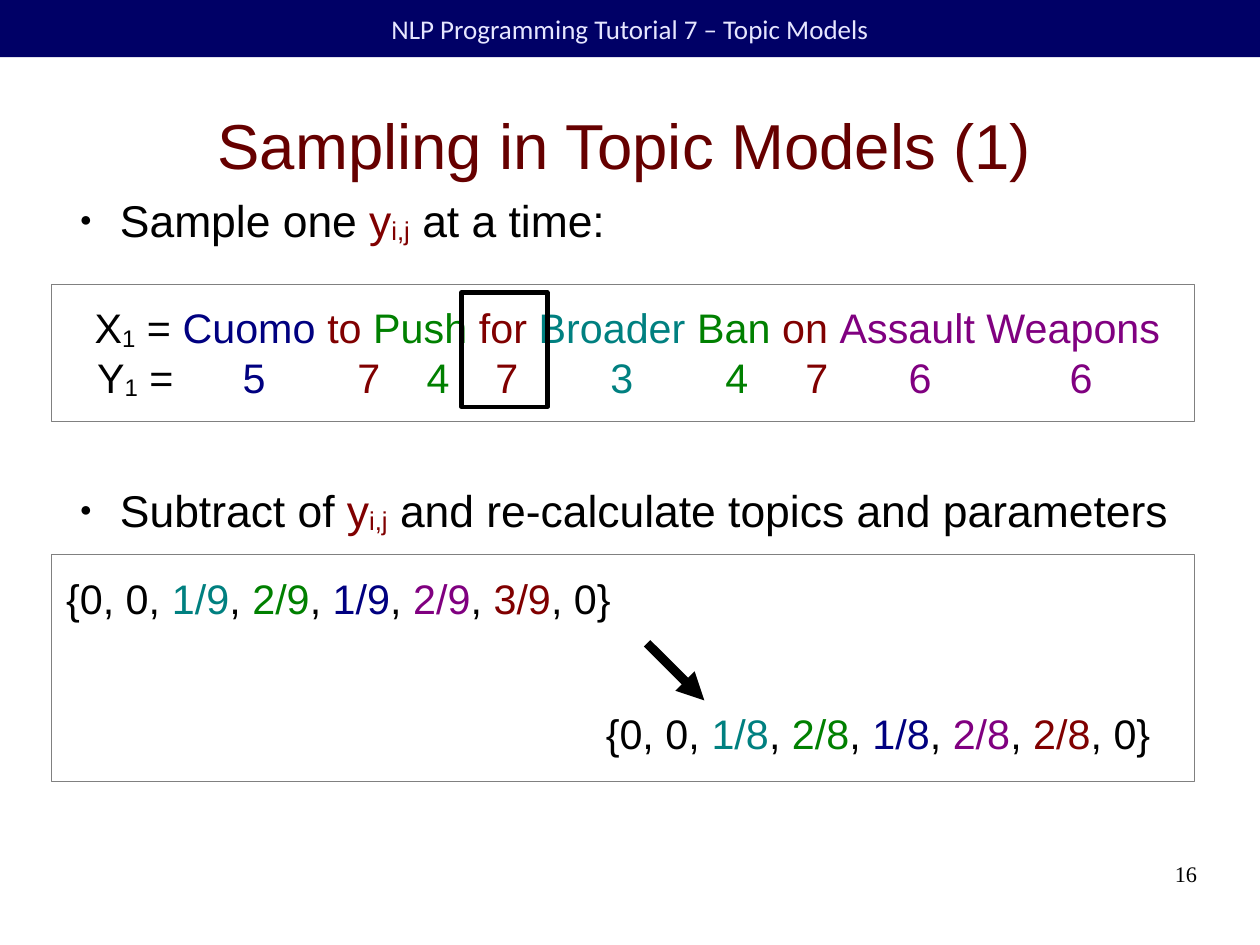
from dataclasses import dataclass

from lxml import etree
from pptx import Presentation
from pptx.dml.color import RGBColor
from pptx.enum.shapes import MSO_CONNECTOR, MSO_SHAPE
from pptx.enum.text import MSO_ANCHOR, PP_ALIGN
from pptx.oxml.ns import qn
from pptx.util import Cm, Inches, Pt

RECTANGLE, STRAIGHT = MSO_SHAPE.RECTANGLE, MSO_CONNECTOR.STRAIGHT
LEFT, CENTER, RIGHT = PP_ALIGN.LEFT, PP_ALIGN.CENTER, PP_ALIGN.RIGHT
TOP, MIDDLE = MSO_ANCHOR.TOP, MSO_ANCHOR.MIDDLE


@dataclass(frozen=True)
class Theme:
    band: str = "000066"
    band_text: str = "E6E6FF"
    title: str = "660000"
    ink: str = "000000"
    variable: str = "800000"
    panel_line: str = "808080"
    font: str = "Arial"
    band_font: str = "Calibri"
    number_font: str = "Times New Roman"
    title_size: int = 40
    body_size: int = 28
    example_size: int = 26
    band_size: int = 17
    number_size: int = 14


THEME = Theme()
TOPIC_COLORS = {3: "008080", 4: "008000", 5: "000080", 6: "800080", 7: "800000"}

# Content
HEADER = "NLP Programming Tutorial 7 – Topic Models"
TITLE = "Sampling in Topic Models (1)"
PAGE_NUMBER = "16"
BULLETS = [
    ("Sample one ", " at a time:"),
    ("Subtract of ", " and re-calculate topics and parameters"),
]
# Word, topic, centre of the topic number in percent of the slide width
WORDS = [
    ("Cuomo", 5, 20.18), ("to", 7, 29.29), ("Push", 4, 34.78),
    ("for", 7, 40.24), ("Broader", 3, 49.37), ("Ban", 4, 58.49),
    ("on", 7, 64.84), ("Assault", 6, 73.05), ("Weapons", 6, 85.82),
]
# Probabilities of topics 1 to 8, with the place of each list
DISTRIBUTIONS = [
    (["0", "0", "1/9", "2/9", "1/9", "2/9", "3/9", "0"], (4.36, 60.05, 46, 6.05)),
    (["0", "0", "1/8", "2/8", "1/8", "2/8", "2/8", "0"], (47.19, 74.37, 46, 6.05)),
]

# Places: left, top, width, height in percent of the slide
BAND_AT = (0, 0, 100, 6.05)
TITLE_AT = (4.54, 7.55, 90.02, 15.36)
BODY_AT = (5.26, 20.4, 90.02, 36.88)
WORDS_AT = (6.53, 31.44, 86.57, 7.5)
TOPICS_AT = (6.81, 36.64, 86.57, 7.5)
PANELS_AT = [(4.08, 30.11, 90.7, 14.51), (4.08, 58.65, 90.7, 24.06)]
MARK_AT = (36.63, 30.96, 6.81, 12.09)
ARROW_AT = (51.36, 68.08, 55.9, 74.12)
NUMBER_AT = (71.69, 91.05, 23.32, 6.89)
INSET = Inches(0.1)

deck = Presentation()
deck.slide_width, deck.slide_height = Cm(28), Cm(21)
page = deck.slides.add_slide(deck.slide_layouts[5])


def place(shares):
    sides = (deck.slide_width, deck.slide_height) * 2
    return [int(side * share / 100) for side, share in zip(sides, shares)]


def rgb(value):
    return RGBColor.from_string(value)


def add_span(para, text, size, color=THEME.ink, font=THEME.font, lowered=False):
    span = para.add_run()
    span.text = text
    span.font.size, span.font.name = Pt(size), font
    span.font.color.rgb = rgb(color)
    if lowered:
        span.font._element.set("baseline", "-8000")


def set_frame(box, anchor=TOP, padded=False, wrap=True, align=LEFT):
    frame = box.text_frame
    frame.word_wrap, frame.vertical_anchor = wrap, anchor
    frame.margin_left = frame.margin_right = INSET if padded else 0
    frame.margin_top = frame.margin_bottom = INSET // 2 if padded else 0
    frame.paragraphs[0].alignment = align
    return frame.paragraphs[0]


def add_text(shares, **layout):
    return set_frame(page.shapes.add_textbox(*place(shares)), **layout)


def add_box(shares, fill=None, line=None, width=0):
    box = page.shapes.add_shape(RECTANGLE, *place(shares))
    box.shadow.inherit = False
    if fill:
        box.fill.solid()
        box.fill.fore_color.rgb = rgb(fill)
    else:
        box.fill.background()
    if line:
        box.line.color.rgb, box.line.width = rgb(line), Pt(width)
    else:
        box.line.fill.background()
    return box


def add_bullet(para):
    props = para._p.get_or_add_pPr()
    props.set("marL", str(Inches(0.47)))
    props.set("indent", str(Inches(-0.35)))
    color = etree.SubElement(props, qn("a:buClr"))
    etree.SubElement(color, qn("a:srgbClr"), val=THEME.ink)
    etree.SubElement(props, qn("a:buSzPct"), val="45000")
    etree.SubElement(props, qn("a:buFont"), typeface=THEME.font)
    etree.SubElement(props, qn("a:buChar"), char="●")


# Header band and title
band = add_box(BAND_AT, fill=THEME.band)
para = set_frame(band, MIDDLE, padded=True, align=CENTER)
add_span(para, HEADER, THEME.band_size, THEME.band_text, THEME.band_font)

title = page.shapes.title
title.left, title.top, title.width, title.height = place(TITLE_AT)
para = set_frame(title, MIDDLE, align=CENTER)
add_span(para, TITLE, THEME.title_size, THEME.title)

# Bullets, with room between them for the example
first = add_text(BODY_AT)
second = first._parent.add_paragraph()
first.space_after = Pt(149)
for para, (before, after) in zip((first, second), BULLETS):
    add_bullet(para)
    add_span(para, before, THEME.body_size)
    add_span(para, "y", THEME.body_size, THEME.variable)
    add_span(para, "i,j", THEME.body_size, THEME.variable, lowered=True)
    add_span(para, after, THEME.body_size)

# Words and their topics, each topic on a centred tab stop
words = add_text(WORDS_AT, padded=True, wrap=False, align=CENTER)
topics = add_text(TOPICS_AT, padded=True)
for para, letter, equals in ((words, "X", " = "), (topics, "Y", " =")):
    add_span(para, letter, THEME.example_size)
    add_span(para, "1", THEME.example_size, lowered=True)
    add_span(para, equals, THEME.example_size)
stops = etree.SubElement(topics._p.get_or_add_pPr(), qn("a:tabLst"))
for index, (word, topic, center) in enumerate(WORDS):
    offset = int(deck.slide_width * (center - TOPICS_AT[0]) / 100) - INSET
    etree.SubElement(stops, qn("a:tab"), pos=str(offset), algn="ctr")
    gap = " " if index < len(WORDS) - 1 else ""
    add_span(words, word + gap, THEME.example_size, TOPIC_COLORS[topic])
    add_span(topics, f"\t{topic}", THEME.example_size, TOPIC_COLORS[topic])

# Topic distributions before and after
for values, shares in DISTRIBUTIONS:
    para = add_text(shares, padded=True, wrap=False)
    for topic, value in enumerate(values, 1):
        add_span(para, "{" if topic == 1 else ", ", THEME.example_size)
        add_span(para, value, THEME.example_size, TOPIC_COLORS.get(topic, THEME.ink))
    add_span(para, "}", THEME.example_size)

# Frames, the marked word and the arrow
for shares in PANELS_AT:
    add_box(shares, line=THEME.panel_line)
add_box(MARK_AT, line=THEME.ink, width=2.89)

arrow = page.shapes.add_connector(STRAIGHT, *place(ARROW_AT))
arrow.line.color.rgb, arrow.line.width = rgb(THEME.ink), Pt(5.75)
etree.SubElement(arrow.line._get_or_add_ln(), qn("a:tailEnd"), type="triangle")
etree.SubElement(arrow._element.spPr, qn("a:effectLst"))

# Page number
para = add_text(NUMBER_AT, align=RIGHT)
add_span(para, PAGE_NUMBER, THEME.number_size, font=THEME.number_font)

deck.save("out.pptx")
